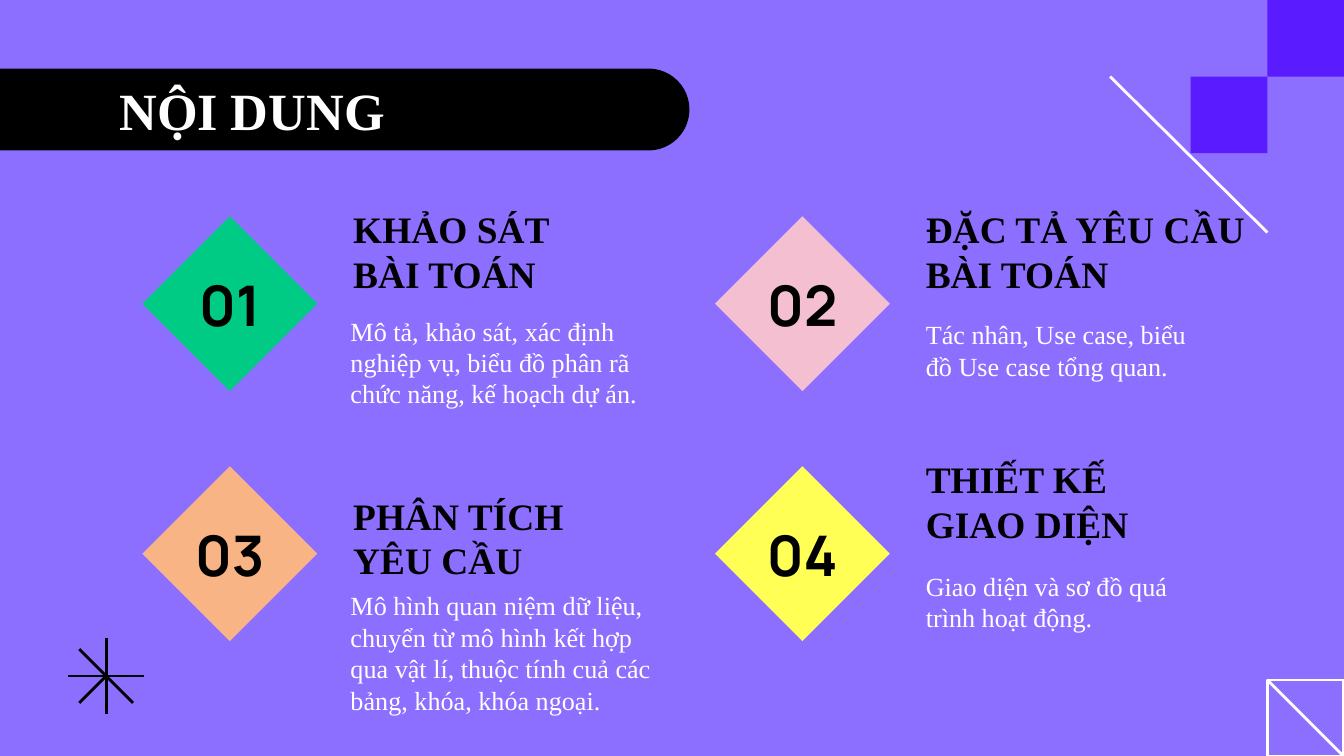
from lxml.etree import SubElement
from pptx import Presentation
from pptx.dml.color import RGBColor
from pptx.enum.shapes import MSO_CONNECTOR, MSO_SHAPE
from pptx.enum.text import MSO_ANCHOR, PP_ALIGN
from pptx.oxml.ns import qn
from pptx.util import Inches, Pt

VIOLET = RGBColor(0x8D, 0x6F, 0xFF)
INDIGO = RGBColor(0x5A, 0x1C, 0xFE)
BLACK = RGBColor(0, 0, 0)
WHITE = RGBColor(0xFF, 0xFF, 0xFF)
GREEN = RGBColor(0x00, 0xCB, 0x84)
PINK = RGBColor(0xF3, 0xBF, 0xD1)
ORANGE = RGBColor(0xF9, 0xB4, 0x85)
YELLOW = RGBColor(0xFF, 0xFF, 0x56)

BODY_FONT = "Times New Roman"
NUMBER_FONT = "Manrope"
SQUARE = 0.57

# Number, colour, heading, description, then the boxes (left, top, width,
# height) of heading and description, relative to the topic's top left corner.
TOPICS = [
    ("01", GREEN, "KHẢO SÁT BÀI TOÁN",
     "Mô tả, khảo sát, xác định nghiệp vụ, biểu đồ phân rã chức năng, "
     "kế hoạch dự án.",
     (1.28, -0.19, 2.15, 0.52), (1.26, 0.56, 2.44, 0.67)),
    ("02", PINK, "ĐẶC TẢ YÊU CẦU BÀI TOÁN",
     "Tác nhân, Use case, biểu đồ Use case tổng quan.",
     (1.28, -0.19, 2.63, 0.52), (1.28, 0.5, 2.21, 0.61)),
    ("03", ORANGE, "PHÂN TÍCH YÊU CẦU",
     "Mô hình quan niệm dữ liệu, chuyển từ mô hình kết hợp qua vật lí, "
     "thuộc tính cuả các bảng, khóa, khóa ngoại.",
     (1.28, 0.08, 2.15, 0.52), (1.26, 0.89, 2.6, 0.61)),
    ("04", YELLOW, "THIẾT KẾ GIAO DIỆN",
     "Giao diện và sơ đồ quá trình hoạt động.",
     (1.28, -0.19, 2.15, 0.52), (1.28, 0.51, 2.15, 0.61)),
]


def add_text(slide, text, left, top, width, height, *, size, color=BLACK,
             font=BODY_FONT, bold=False, align=PP_ALIGN.LEFT, side_inset=0.1):
    box = slide.shapes.add_textbox(
        Inches(left), Inches(top), Inches(width), Inches(height))
    frame = box.text_frame
    frame.word_wrap = True
    frame.vertical_anchor = MSO_ANCHOR.MIDDLE
    frame.margin_left = frame.margin_right = Inches(side_inset)
    frame.margin_top = frame.margin_bottom = Inches(0.1)
    paragraph = frame.paragraphs[0]
    paragraph.alignment = align
    run = paragraph.add_run()
    run.text = text
    run.font.size = Pt(size)
    run.font.name = font
    run.font.bold = bold
    run.font.color.rgb = color


def add_block(slide, left, top, width, height, *, fill=None, line=None,
              preset=MSO_SHAPE.RECTANGLE):
    shape = slide.shapes.add_shape(
        preset, Inches(left), Inches(top), Inches(width), Inches(height))
    shape.shadow.inherit = False
    if fill is None:
        shape.fill.background()
    else:
        shape.fill.solid()
        shape.fill.fore_color.rgb = fill
    if line is None:
        shape.line.fill.background()
    else:
        shape.line.color.rgb = line
        shape.line.width = Pt(1.5)
    return shape


def add_line(slide, x1, y1, x2, y2, color):
    line = slide.shapes.add_connector(
        MSO_CONNECTOR.STRAIGHT, Inches(x1), Inches(y1), Inches(x2), Inches(y2))
    line.line.color.rgb = color
    line.line.width = Pt(1.5)
    SubElement(line._element.spPr, qn("a:effectLst"))


def add_top_corner(slide, left, top):
    """Two squares in steps, with a long diagonal line beside them."""
    add_line(slide, left, top + SQUARE, left + 1.17, top + 1.73, WHITE)
    add_block(slide, left + 0.6, top + SQUARE, SQUARE, SQUARE, fill=INDIGO)
    add_block(slide, left + 1.17, top, SQUARE, SQUARE, fill=INDIGO)


def add_bottom_corner(slide, left, top):
    """An outlined square with its diagonal."""
    add_block(slide, left, top, SQUARE, SQUARE, line=WHITE)
    add_line(slide, left, top, left + SQUARE, top + SQUARE, WHITE)


def add_star(slide, center_x, center_y):
    """A star of seven rays; the upper right ray is missing."""
    arm, diagonal = SQUARE / 2, 0.2
    for x1, y1, x2, y2 in [
        (0, -arm, 0, arm),
        (arm, 0, -arm, 0),
        (diagonal, diagonal, -diagonal, -diagonal),
        (-diagonal, diagonal, 0, 0),
    ]:
        add_line(slide, center_x + x1, center_y + y1,
                 center_x + x2, center_y + y2, BLACK)


def add_title(slide, left, top):
    banner = add_block(slide, left, top, 5.41, 0.61, fill=BLACK,
                       preset=MSO_SHAPE.ROUNDED_RECTANGLE)
    banner.adjustments[0] = 0.5
    add_text(slide, "NỘI DUNG", left + 1.07, top + 0.08, 8.43, 0.45,
             size=28, color=WHITE, bold=True)


def add_topic(slide, left, top, topic):
    number, color, heading, description, heading_box, description_box = topic
    diamond = add_block(slide, left, top, 0.92, 0.92, fill=color)
    diamond.rotation = 45
    add_text(slide, number, left + 0.08, top + 0.08, 0.76, 0.76, size=30,
             font=NUMBER_FONT, bold=True, align=PP_ALIGN.CENTER, side_inset=0)
    x, y, width, height = heading_box
    add_text(slide, heading, left + x, top + y, width, height,
             size=20, bold=True)
    x, y, width, height = description_box
    add_text(slide, description, left + x, top + y, width, height,
             size=14, color=WHITE)


def main():
    presentation = Presentation()
    presentation.slide_width = Inches(10)
    presentation.slide_height = Inches(10) * 9 // 16
    slide = presentation.slides.add_slide(presentation.slide_layouts[6])
    slide.background.fill.solid()
    slide.background.fill.fore_color.rgb = VIOLET

    add_top_corner(slide, 8.26, 0)
    add_bottom_corner(slide, 9.43, 5.06)
    add_star(slide, 0.79, 5.03)
    add_title(slide, -0.28, 0.51)
    for index, topic in enumerate(TOPICS):
        row, column = divmod(index, 2)
        add_topic(slide, 1.25 + column * 4.26, 1.8 + row * 1.86, topic)

    presentation.save("out.pptx")


if __name__ == "__main__":
    main()
